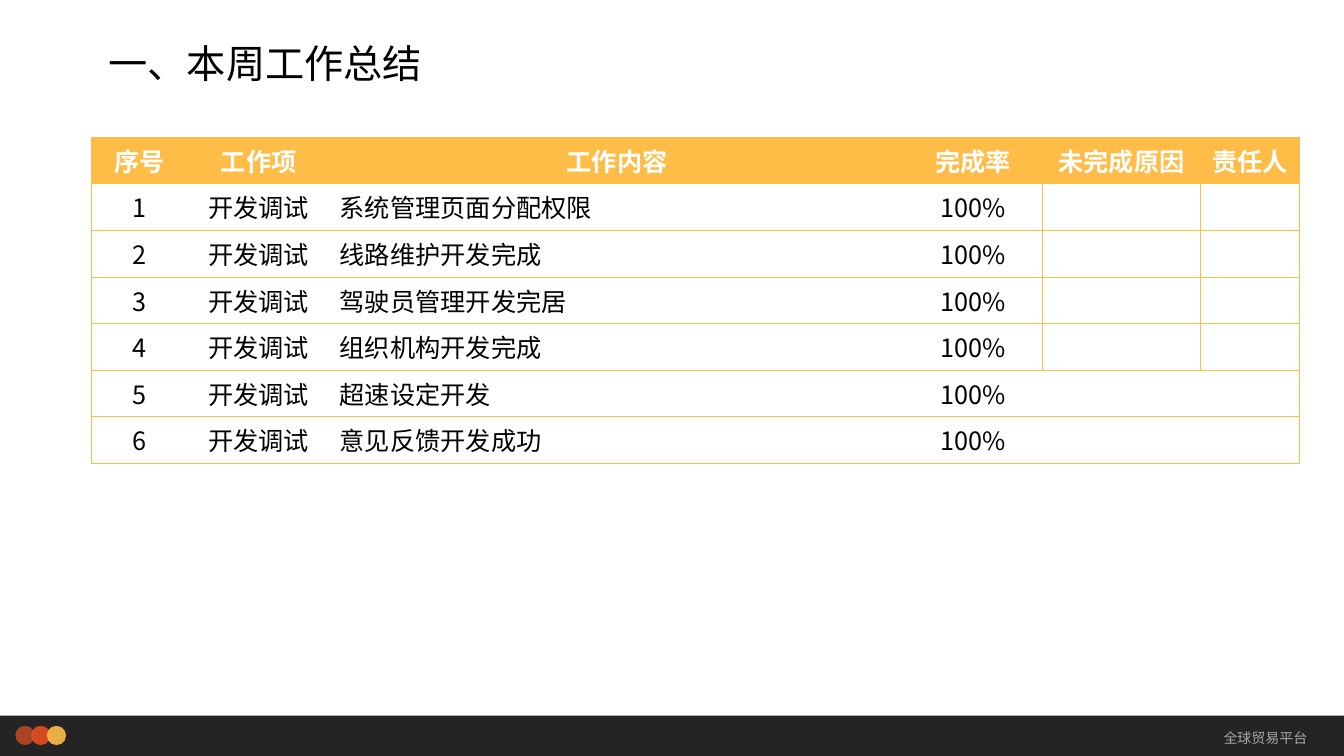
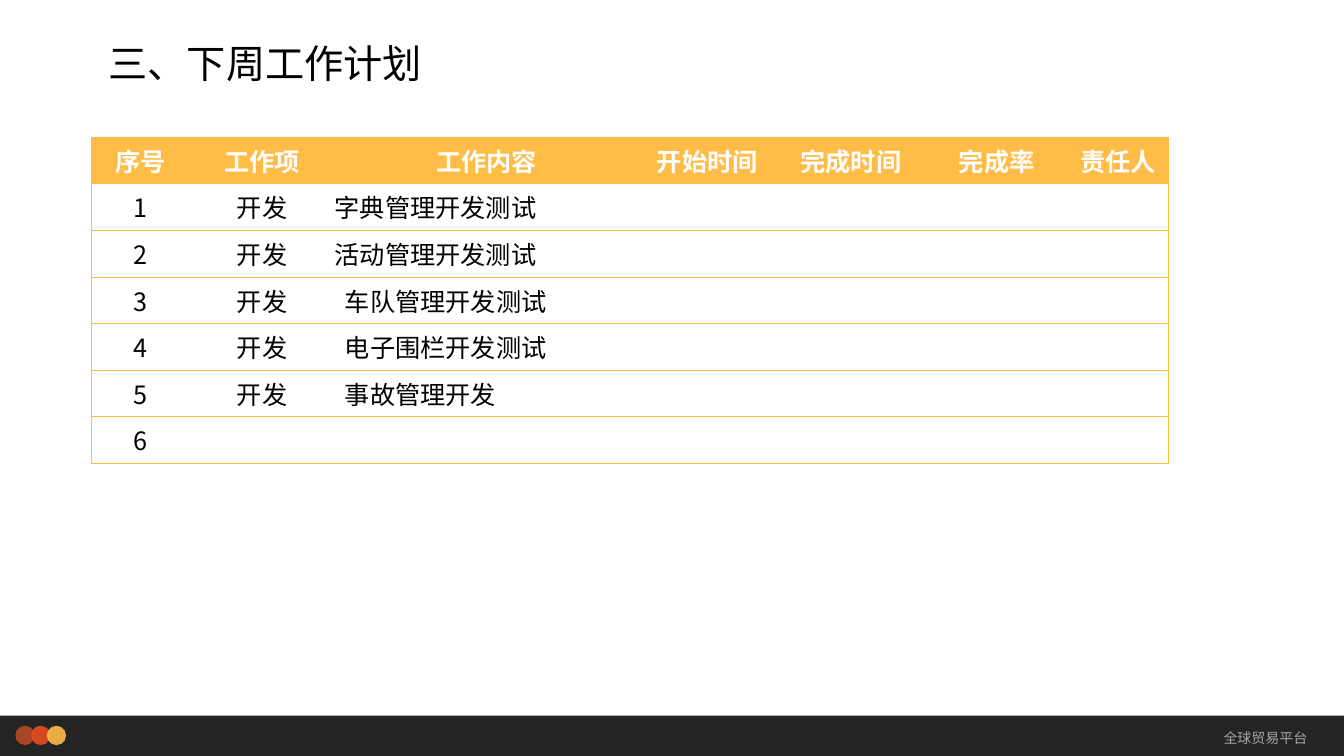
from collections import namedtuple
from lxml import etree
from pptx import Presentation
from pptx.dml.color import RGBColor
from pptx.enum.shapes import MSO_SHAPE as Preset
from pptx.enum.text import MSO_ANCHOR as Anchor, PP_ALIGN as Align
from pptx.oxml.ns import qn
from pptx.util import Inches, Pt

COLORS = {
    "band": "0D0D0D", "rust": "B64926", "red": "E84C22", "amber": "FFBD47",
    "gray": "A6A6A6", "black": "000000", "white": "FFFFFF",
}
FONT = "Noto Sans CJK SC"
FORMATS = {
    "title": {"size": Pt(28), "bold": False, "color": "black"},
    "footer": {"size": Pt(10), "bold": False, "color": "gray"},
    "header": {"size": Pt(18), "bold": True, "color": "white"},
    "body": {"size": Pt(18), "bold": False, "color": "black"},
}
RULE_WIDTH = Pt(0.5)
Box = namedtuple("Box", "left top width height")

presentation = Presentation()
presentation.slide_width = Inches(13.33)
presentation.slide_height = Inches(7.5)


def percent_box(left, top, width, height):
    across = presentation.slide_width / 100
    down = presentation.slide_height / 100
    return Box(*map(int, (left * across, top * down, width * across, height * down)))


BAND = percent_box(0, 94.67, 100, 5.33)
TITLE = percent_box(7.35, 2, 75, 10.13)


def write_text(paragraph, text, style, align):
    paragraph.alignment = align
    run = paragraph.add_run()
    run.text = text
    formats = dict(FORMATS[style])
    run.font.color.rgb = RGBColor.from_string(COLORS[formats.pop("color")])
    for name, value in {**formats, "name": FONT}.items():
        setattr(run.font, name, value)
    properties = run.font._element
    etree.SubElement(properties, qn("a:ea"), typeface=FONT)


def add_text(slide, box, text, style, align, anchor):
    frame = slide.shapes.add_textbox(*box).text_frame
    frame.word_wrap = True
    frame.vertical_anchor = anchor
    paragraph = frame.paragraphs[0]
    write_text(paragraph, text, style, align)
    return paragraph


def add_translucent(slide, preset, box, color):
    shape = slide.shapes.add_shape(preset, *box)
    shape.shadow.inherit = False
    shape.line.fill.background()
    shape.fill.solid()
    shape.fill.fore_color.rgb = RGBColor.from_string(COLORS[color])
    for element in shape._element.spPr.iter(qn("a:srgbClr")):
        etree.SubElement(element, qn("a:alpha"), val="90000")


def add_footer(slide, box):
    add_translucent(slide, Preset.RECTANGLE, box, "band")
    unit = box.height
    diameter = int(0.48 * unit)
    for index, color in enumerate(("rust", "red", "amber")):
        left = box.left + int((0.38 + 0.39 * index) * unit)
        dot = Box(left, box.top + int(0.25 * unit), diameter, diameter)
        add_translucent(slide, Preset.OVAL, dot, color)
    label = Box(int(0.81 * box.width), box.top, int(0.17 * box.width), int(1.1 * unit))
    add_text(slide, label, "全球贸易平台", "footer", Align.RIGHT, Anchor.MIDDLE)


def set_borders(cell, ruled_sides):
    properties = cell._tc.get_or_add_tcPr()
    for index, side in enumerate("LRTB"):
        line = etree.Element(qn(f"a:ln{side}"), w=str(RULE_WIDTH))
        if side in ruled_sides:
            fill = etree.SubElement(line, qn("a:solidFill"))
            etree.SubElement(fill, qn("a:srgbClr"), val=COLORS["amber"])
        else:
            etree.SubElement(line, qn("a:noFill"))
        properties.insert(index, line)


def format_cell(cell, text, is_header, is_content):
    if is_header:
        cell.fill.solid()
        cell.fill.fore_color.rgb = RGBColor.from_string(COLORS["amber"])
    else:
        cell.fill.background()
    if text:
        align = Align.LEFT if is_content and not is_header else Align.CENTER
        write_text(cell.text_frame.paragraphs[0], text, "header" if is_header else "body", align)


def add_work_table(slide, box, weights, rows, merged_rows=0, ruled_columns=(), flush_rows=()):
    table = slide.shapes.add_table(len(rows), len(weights), *box).table
    table.first_row = table.horz_banding = False
    for column, weight in zip(table.columns, weights):
        column.width = int(box.width * weight / sum(weights))
    for row_index, values in enumerate(rows):
        table.rows[row_index].height = box.height // len(rows)
        edges = {0, len(weights)}
        if 0 < row_index < 5:
            edges.update(ruled_columns)
        for column_index, text in enumerate(values):
            cell = table.cell(row_index, column_index)
            format_cell(cell, text, row_index == 0, column_index == 2)
            sides = "TB" + "L" * (column_index in edges) + "R" * (column_index + 1 in edges)
            set_borders(cell, sides)
        if row_index < merged_rows:
            table.cell(row_index, 2).merge(table.cell(row_index, 4))
    for row_index in flush_rows:
        cell = table.cell(row_index, 2)
        cell.vertical_anchor = Anchor.MIDDLE
        for side in ("left", "right", "top", "bottom"):
            setattr(cell, f"margin_{side}", 0)


def add_report_slide(title, box, **table_options):
    slide = presentation.slides.add_slide(presentation.slide_layouts[6])
    add_footer(slide, BAND)
    paragraph = add_text(slide, TITLE, title, "title", Align.LEFT, Anchor.BOTTOM)
    paragraph.line_spacing = 0.9
    add_work_table(slide, box, **table_options)


finished = ["系统管理页面分配权限", "线路维护开发完成", "驾驶员管理开发完居",
            "组织机构开发完成", "超速设定开发", "意见反馈开发成功"]
planned = ["字典管理开发测试", "活动管理开发测试", "车队管理开发测试",
           "电子围栏开发测试", "事故管理开发", ""]

add_report_slide(
    "一、本周工作总结",
    percent_box(6.83, 18.13, 89.87, 43.17),
    weights=[0.95, 1.41, 2.93, 1.33, 1.44, 1.37, 1.57, 0.98],
    rows=[["序号", "工作项", "工作内容", "", "", "完成率", "未完成原因", "责任人"]]
    + [[str(number), "开发调试", work, "", "", "100%", "", ""]
       for number, work in enumerate(finished, 1)],
    merged_rows=5,
    ruled_columns=(6, 7),
)
add_report_slide(
    "三、下周工作计划",
    percent_box(6.83, 18.13, 80.12, 43.17),
    weights=[0.97, 1.44, 3.01, 1.37, 1.48, 1.41, 1],
    rows=[["序号", "工作项", "工作内容", "开始时间", "完成时间", "完成率", "责任人"]]
    + [[str(number), "开发" if work else "", work, "", "", "", ""]
       for number, work in enumerate(planned, 1)],
    flush_rows=(1, 2),
)

presentation.save("out.pptx")
